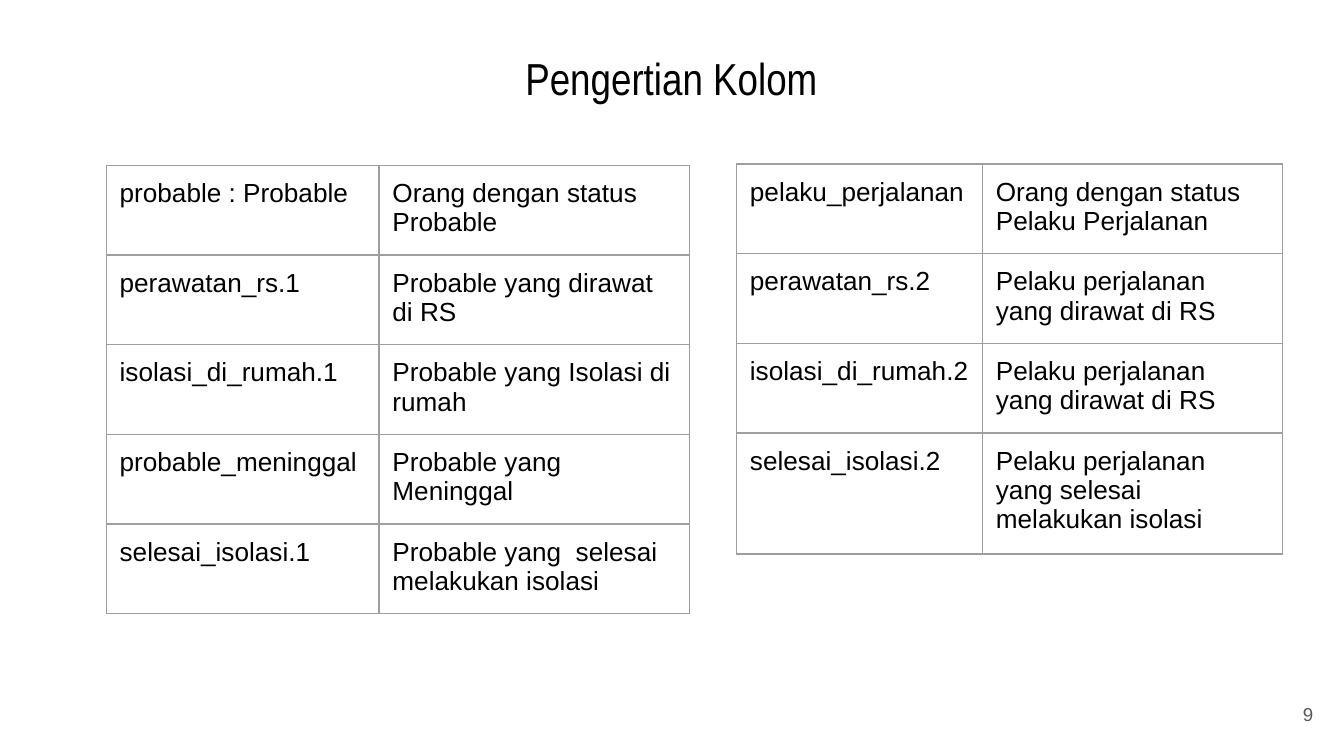
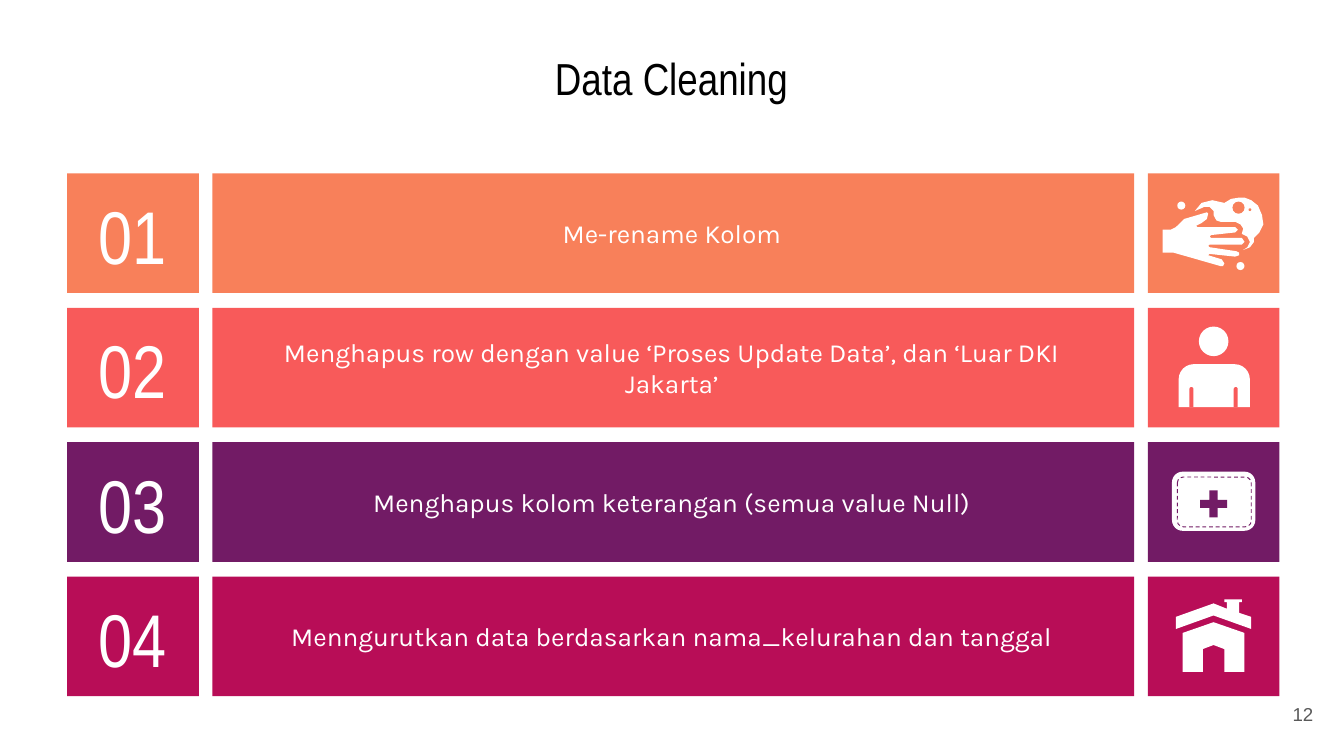
from lxml.etree import SubElement
from pptx import Presentation
from pptx.dml.color import RGBColor
from pptx.enum.dml import MSO_LINE
from pptx.enum.shapes import MSO_SHAPE
from pptx.enum.text import MSO_ANCHOR, PP_ALIGN
from pptx.oxml.ns import qn
from pptx.util import Inches, Pt

BLACK = RGBColor(0x00, 0x00, 0x00)
WHITE = RGBColor(0xFF, 0xFF, 0xFF)
GRAY = RGBColor(0x59, 0x59, 0x59)
BORDER = RGBColor(0x9E, 0x9E, 0x9E)
ORANGE = RGBColor(0xF8, 0x80, 0x5A)
CORAL = RGBColor(0xF8, 0x5A, 0x5A)
PURPLE = RGBColor(0x72, 0x1B, 0x65)
CRIMSON = RGBColor(0xB8, 0x0D, 0x57)

TITLE_FONT = "Arial Narrow"
BODY_FONT = "Arial"
STEP_FONT = "Karla"

PAGE_WIDTH = 10
PAGE_HEIGHT = PAGE_WIDTH * 9 / 16

TABLE_SIZE = 3.28
TABLES = [
    {
        "left": 0.79, "top": 1.23, "columns": (2.03, 2.31),
        "heights": (0.31, 0.65, 0.31, 0.31, 0.31),
        "rows": [
            ("probable : Probable", "Orang dengan status Probable"),
            ("perawatan_rs.1", "Probable yang dirawat di RS"),
            ("isolasi_di_rumah.1", "Probable yang Isolasi di rumah"),
            ("probable_meninggal", "Probable yang Meninggal"),
            ("selesai_isolasi.1", "Probable yang  selesai melakukan isolasi"),
        ],
    },
    {
        "left": 5.48, "top": 1.22, "columns": (1.83, 2.23),
        "heights": (0.31, 0.31, 0.31, 0.31),
        "rows": [
            ("pelaku_perjalanan", "Orang dengan status Pelaku Perjalanan"),
            ("perawatan_rs.2", "Pelaku perjalanan yang dirawat di RS"),
            ("isolasi_di_rumah.2", "Pelaku perjalanan yang dirawat di RS"),
            ("selesai_isolasi.2", "Pelaku perjalanan yang selesai melakukan isolasi"),
        ],
    },
]

STEPS = [
    (ORANGE, "Me-rename Kolom"),
    (CORAL, "Menghapus row dengan value ‘Proses Update Data’, dan ‘Luar DKI Jakarta’"),
    (PURPLE, "Menghapus kolom keterangan (semua value Null)"),
    (CRIMSON, "Menngurutkan data berdasarkan nama_kelurahan dan tanggal"),
]
STEP_TOP, STEP_PITCH, STEP_HEIGHT = 1.29, 1.0, 0.89
STEP_COLUMNS = ((0.5, 0.98), (1.58, 6.86), (8.54, 0.98))

HAND = [
    (8.98, 1.58), (8.81, 1.63), (8.75, 1.69), (8.71, 1.71), (8.65, 1.71),
    (8.65, 1.88), (8.73, 1.88), (8.87, 1.92), (9.08, 1.98), (9.1, 1.98),
    (9.11, 1.96), (9.09, 1.93), (8.99, 1.9), (9, 1.89), (9.19, 1.91),
    (9.22, 1.9), (9.22, 1.88), (9.2, 1.87), (9, 1.84), (8.99, 1.83),
    (9, 1.82), (9.24, 1.82), (9.26, 1.8), (9.24, 1.77), (9.01, 1.77),
    (9, 1.76), (9.01, 1.75), (9.19, 1.73), (9.21, 1.71), (9.19, 1.69),
    (8.91, 1.69), (8.9, 1.68), (8.94, 1.66), (8.98, 1.63), (8.99, 1.59),
]
FOAM = [
    (9.22, 1.47), (9.16, 1.48), (9.11, 1.51), (9.02, 1.49), (8.94, 1.51),
    (8.89, 1.57), (8.96, 1.54), (9, 1.54), (9.03, 1.57), (9.03, 1.6),
    (9.05, 1.64), (9.08, 1.65), (9.19, 1.65), (9.23, 1.67), (9.25, 1.7),
    (9.24, 1.74), (9.28, 1.76), (9.3, 1.8), (9.28, 1.84), (9.25, 1.86),
    (9.3, 1.84), (9.33, 1.8), (9.33, 1.77), (9.37, 1.73), (9.4, 1.67),
    (9.39, 1.6), (9.36, 1.53), (9.31, 1.49), (9.26, 1.47),
]
HOUSE = [
    (9.03, 4.63), (8.8, 4.71), (8.8, 5), (8.95, 5), (8.95, 4.83),
    (9.03, 4.8), (9.11, 4.83), (9.11, 5), (9.26, 5), (9.26, 4.71),
]
ROOF = [
    (9.11, 4.46), (9.11, 4.48), (9.13, 4.48), (9.13, 4.53), (9.03, 4.49),
    (8.75, 4.59), (8.75, 4.68), (9.03, 4.58), (9.31, 4.68), (9.31, 4.59),
    (9.22, 4.56), (9.22, 4.48), (9.24, 4.48), (9.24, 4.46),
]
OUTLINES = [HAND, FOAM, HOUSE, ROOF]

ICON_PARTS = [
    (MSO_SHAPE.OVAL, (9.17, 1.5, 0.09, 0.09), ORANGE, ()),
    (MSO_SHAPE.OVAL, (9.29, 1.55, 0.02, 0.02), ORANGE, ()),
    (MSO_SHAPE.OVAL, (8.76, 1.5, 0.06, 0.06), WHITE, ()),
    (MSO_SHAPE.OVAL, (9.2, 1.95, 0.06, 0.06), WHITE, ()),
    (MSO_SHAPE.OVAL, (8.92, 2.43, 0.22, 0.22), WHITE, ()),
    (MSO_SHAPE.ROUND_2_SAME_RECTANGLE, (8.77, 2.71, 0.53, 0.32), WHITE, (0.35, 0)),
    (MSO_SHAPE.ROUND_2_SAME_RECTANGLE, (8.85, 2.88, 0.03, 0.15), CORAL, (0.5, 0)),
    (MSO_SHAPE.ROUND_2_SAME_RECTANGLE, (9.18, 2.88, 0.03, 0.15), CORAL, (0.5, 0)),
    (MSO_SHAPE.ROUNDED_RECTANGLE, (8.72, 3.51, 0.62, 0.44), WHITE, (0.18,)),
    (MSO_SHAPE.CROSS, (8.93, 3.65, 0.2, 0.2), PURPLE, (0.35,)),
]
KIT_SEAM = (8.76, 3.55, 0.55, 0.37)


def paint(shape, color):
    shape.shadow.inherit = False
    shape.fill.solid()
    shape.fill.fore_color.rgb = color
    shape.line.fill.background()


def add_part(page, kind, place, color, adjustments=()):
    shape = page.shapes.add_shape(kind, *map(Inches, place))
    for index, value in enumerate(adjustments):
        shape.adjustments[index] = value
    paint(shape, color)
    return shape


def add_outline(page, points, color):
    points = [(Inches(x), Inches(y)) for x, y in points]
    builder = page.shapes.build_freeform(*points[0])
    builder.add_line_segments(points[1:])
    paint(builder.convert_to_shape(), color)


def style_text(frame, text, font, size, color, align=PP_ALIGN.LEFT):
    frame.text = text
    paragraph = frame.paragraphs[0]
    paragraph.alignment = align
    span = paragraph.runs[0]
    span.font.name = font
    span.font.size = Pt(size)
    span.font.color.rgb = color


def add_text(page, place, text, font, size, color, align=PP_ALIGN.CENTER,
             anchor=MSO_ANCHOR.MIDDLE, padding=0.05):
    box = page.shapes.add_textbox(*map(Inches, place))
    frame = box.text_frame
    frame.word_wrap = True
    frame.vertical_anchor = anchor
    frame.margin_left = frame.margin_right = Inches(0.1)
    frame.margin_top = frame.margin_bottom = Inches(padding)
    style_text(frame, text, font, size, color, align)


def add_page(deck, title, number):
    page = deck.slides.add_slide(deck.slide_layouts[6])
    add_text(page, (2.79, 0.45, 4.41, 0.43), title, TITLE_FONT, 24, BLACK,
             anchor=MSO_ANCHOR.BOTTOM, padding=0.1)
    add_text(page, (9.27, 5.1, 0.6, 0.43), str(number), BODY_FONT, 10, GRAY,
             align=PP_ALIGN.RIGHT, padding=0.1)
    return page


def add_borders(cell):
    properties = cell._tc.get_or_add_tcPr()
    for side in ("a:lnL", "a:lnR", "a:lnT", "a:lnB"):
        line = SubElement(properties, qn(side), w=str(Pt(0.75)))
        fill = SubElement(line, qn("a:solidFill"))
        SubElement(fill, qn("a:srgbClr"), val=str(BORDER))


def add_column_table(page, content):
    rows, columns, heights = content["rows"], content["columns"], content["heights"]
    place = (content["left"], content["top"], TABLE_SIZE, TABLE_SIZE)
    holder = page.shapes.add_table(len(rows), len(columns), *map(Inches, place))
    table = holder.table
    table.first_row = table.horz_banding = False
    for column, width in zip(table.columns, columns):
        column.width = Inches(width)
    for row, height, texts in zip(table.rows, heights, rows):
        row.height = Inches(height)
        for cell, text in zip(row.cells, texts):
            cell.margin_left = cell.margin_right = Inches(0.1)
            cell.margin_top = cell.margin_bottom = Inches(0.1)
            add_borders(cell)
            cell.fill.background()
            style_text(cell.text_frame, text, BODY_FONT, 14, BLACK)
    holder.width = holder.height = Inches(TABLE_SIZE)


def add_icons(page):
    for points in OUTLINES:
        add_outline(page, points, WHITE)
    for part in ICON_PARTS:
        add_part(page, *part)
    seam = add_part(page, MSO_SHAPE.ROUNDED_RECTANGLE, KIT_SEAM, WHITE, (0.12,))
    seam.fill.background()
    seam.line.color.rgb = PURPLE
    seam.line.width = Pt(0.5)
    seam.line.dash_style = MSO_LINE.DASH


def build_columns_page(deck):
    page = add_page(deck, "Pengertian Kolom", 9)
    for content in TABLES:
        add_column_table(page, content)


def build_cleaning_page(deck):
    page = add_page(deck, "Data Cleaning", 12)
    for index, (color, text) in enumerate(STEPS):
        top = STEP_TOP + index * STEP_PITCH
        for left, width in STEP_COLUMNS:
            add_part(page, MSO_SHAPE.RECTANGLE, (left, top, width, STEP_HEIGHT), color)
        add_text(page, (0.56, top + 0.15, 0.86, 0.61), f"{index + 1:02}",
                 TITLE_FONT, 40, WHITE)
        add_text(page, (1.82, top + 0.21, 6.36, 0.47), text, STEP_FONT, 14, WHITE)
    add_icons(page)


def main():
    deck = Presentation()
    deck.slide_width, deck.slide_height = Inches(PAGE_WIDTH), Inches(PAGE_HEIGHT)
    build_columns_page(deck)
    build_cleaning_page(deck)
    deck.save("out.pptx")


if __name__ == "__main__":
    main()
